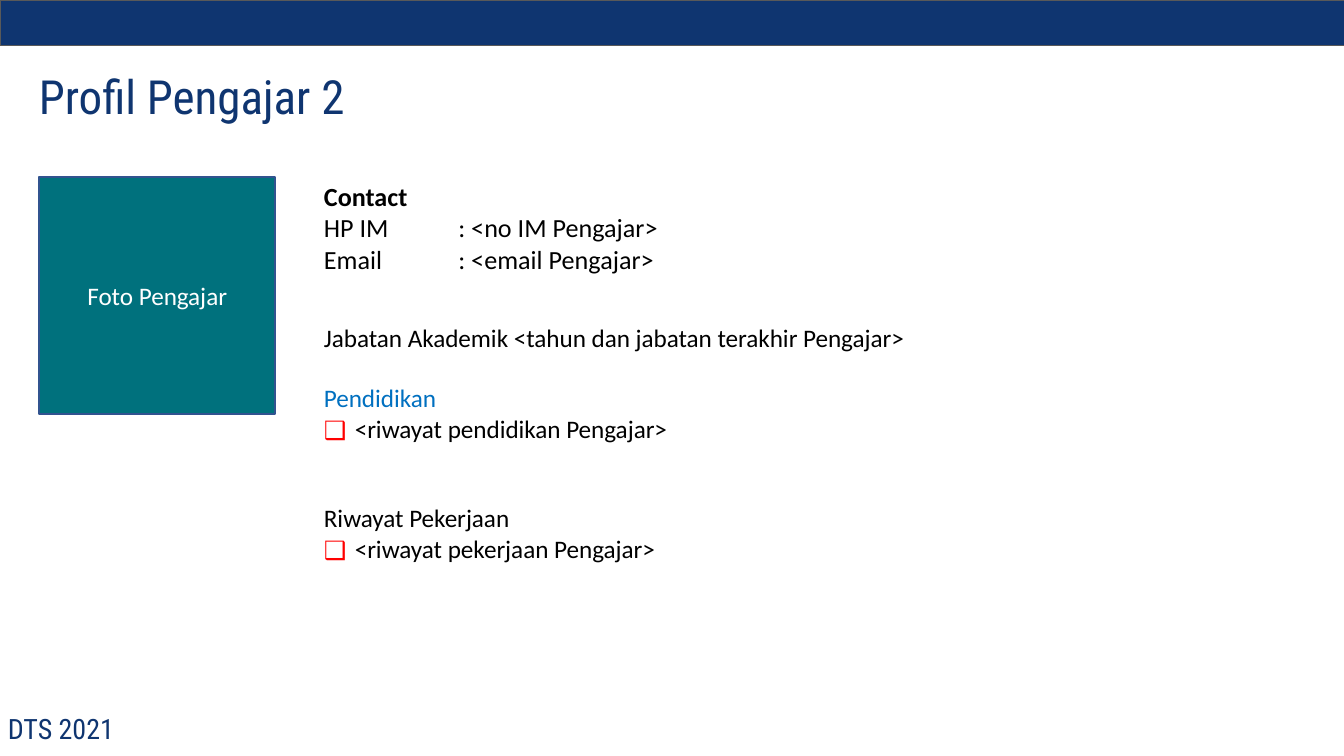
from dataclasses import dataclass

from lxml.etree import SubElement
from pptx import Presentation
from pptx.dml.color import RGBColor
from pptx.enum.shapes import MSO_SHAPE as Shape
from pptx.enum.text import MSO_ANCHOR as Anchor, PP_ALIGN as Align
from pptx.oxml.ns import qn
from pptx.util import Inches, Pt


@dataclass(frozen=True)
class Theme:
    navy: str = "0F3570"
    teal: str = "00717D"
    grey: str = "595959"
    photo_edge: str = "31538F"
    heading: str = "0070C0"
    bullet: str = "FF0000"
    black: str = "000000"
    white: str = "FFFFFF"
    title_font: str = "Roboto Condensed"
    body_font: str = "Calibri"
    bullet_font: str = "Noto Sans Symbols"
    title_size: float = 25.2
    footer_size: float = 15
    contact_size: float = 14
    body_size: float = 13.5


@dataclass(frozen=True)
class Box:
    left: float
    top: float
    width: float
    height: float

    def lengths(self) -> list:
        return [Inches(v) for v in (self.left, self.top, self.width, self.height)]


@dataclass(frozen=True)
class Para:
    text: str
    color: str = Theme.black
    bold: bool = False
    bullet: bool = False
    tab: float = 0
    lines_before: int = 0


THEME = Theme()
SLIDE_WIDTH = 10
LINE_PT = 16  # gap of one empty body line
BULLET_INDENT = 0.23
TITLE_INSETS = (0.1, 0.1)
BODY_INSETS = (0.07, 0.04)

CONTACT = [
    Para("Contact", bold=True),
    Para("HP IM\t: <no IM Pengajar>", tab=1),
    Para("Email\t: <email Pengajar>", tab=1),
]
PROFILE = [
    Para("Jabatan Akademik <tahun dan jabatan terakhir Pengajar>"),
    Para("Pendidikan", color=THEME.heading, lines_before=1),
    Para("<riwayat pendidikan Pengajar>", bullet=True),
    Para("Riwayat Pekerjaan", lines_before=2),
    Para("<riwayat pekerjaan Pengajar>", bullet=True),
]


def add_bullet(p) -> None:
    pPr = p._p.get_or_add_pPr()
    pPr.set("marL", str(Inches(BULLET_INDENT)))
    pPr.set("indent", str(-Inches(BULLET_INDENT)))
    color = SubElement(pPr, qn("a:buClr"))
    SubElement(color, qn("a:srgbClr"), val=THEME.bullet)
    SubElement(pPr, qn("a:buFont"), typeface=THEME.bullet_font)
    SubElement(pPr, qn("a:buChar"), char="❑")


def add_tab(p, position: float) -> None:
    tabs = SubElement(p._p.get_or_add_pPr(), qn("a:tabLst"))
    SubElement(tabs, qn("a:tab"), pos=str(Inches(position)), algn="l")


def write(s, paras: list[Para], *, size: float, font: str = THEME.body_font,
          insets: tuple = BODY_INSETS, anchor=Anchor.TOP, align=Align.LEFT,
          line_spacing: float = 1.0) -> None:
    tf = s.text_frame
    tf.word_wrap = True
    tf.vertical_anchor = anchor
    tf.margin_left = tf.margin_right = Inches(insets[0])
    tf.margin_top = tf.margin_bottom = Inches(insets[1])
    for i, para in enumerate(paras):
        p = tf.add_paragraph() if i else tf.paragraphs[0]
        p.alignment = align
        p.line_spacing = line_spacing
        if para.lines_before:
            p.space_before = Pt(para.lines_before * LINE_PT)
        if para.bullet:
            add_bullet(p)
        if para.tab:
            add_tab(p, para.tab)
        r = p.add_run()
        r.text = para.text
        r.font.name = font
        r.font.size = Pt(size)
        r.font.bold = para.bold
        r.font.color.rgb = RGBColor.from_string(para.color)


def add_text(slide, box: Box, paras: list[Para], **fmt) -> None:
    write(slide.shapes.add_textbox(*box.lengths()), paras, **fmt)


def add_rect(slide, box: Box, fill: str, line: str, line_width: float):
    s = slide.shapes.add_shape(Shape.RECTANGLE, *box.lengths())
    s.shadow.inherit = False
    s.fill.solid()
    s.fill.fore_color.rgb = RGBColor.from_string(fill)
    s.line.color.rgb = RGBColor.from_string(line)
    s.line.width = Pt(line_width)
    return s


def main() -> None:
    prs = Presentation()
    prs.slide_width = Inches(SLIDE_WIDTH)
    prs.slide_height = Inches(SLIDE_WIDTH * 9 / 16)
    slide = prs.slides.add_slide(prs.slide_layouts[6])

    add_text(slide, Box(0.19, 0.49, 3.58, 0.53),
             [Para("Profil Pengajar 2", color=THEME.navy)],
             size=THEME.title_size, font=THEME.title_font,
             insets=TITLE_INSETS, anchor=Anchor.BOTTOM)
    add_rect(slide, Box(0, 0, 10.02, 0.34), THEME.navy, THEME.grey, 0.75)
    add_text(slide, Box(-0.04, 5.24, 4.09, 0.21),
             [Para("DTS 2021", color=THEME.navy)],
             size=THEME.footer_size, font=THEME.title_font,
             insets=TITLE_INSETS, line_spacing=0.8)

    add_text(slide, Box(2.34, 2.36, 6.46, 1.89), PROFILE, size=THEME.body_size)
    add_text(slide, Box(2.34, 1.3, 3.42, 0.78), CONTACT, size=THEME.contact_size)

    photo = add_rect(slide, Box(0.29, 1.32, 1.76, 1.76),
                     THEME.teal, THEME.photo_edge, 1)
    write(photo, [Para("Foto Pengajar", color=THEME.white)],
          size=THEME.body_size, anchor=Anchor.MIDDLE, align=Align.CENTER)

    prs.save("out.pptx")


if __name__ == "__main__":
    main()
